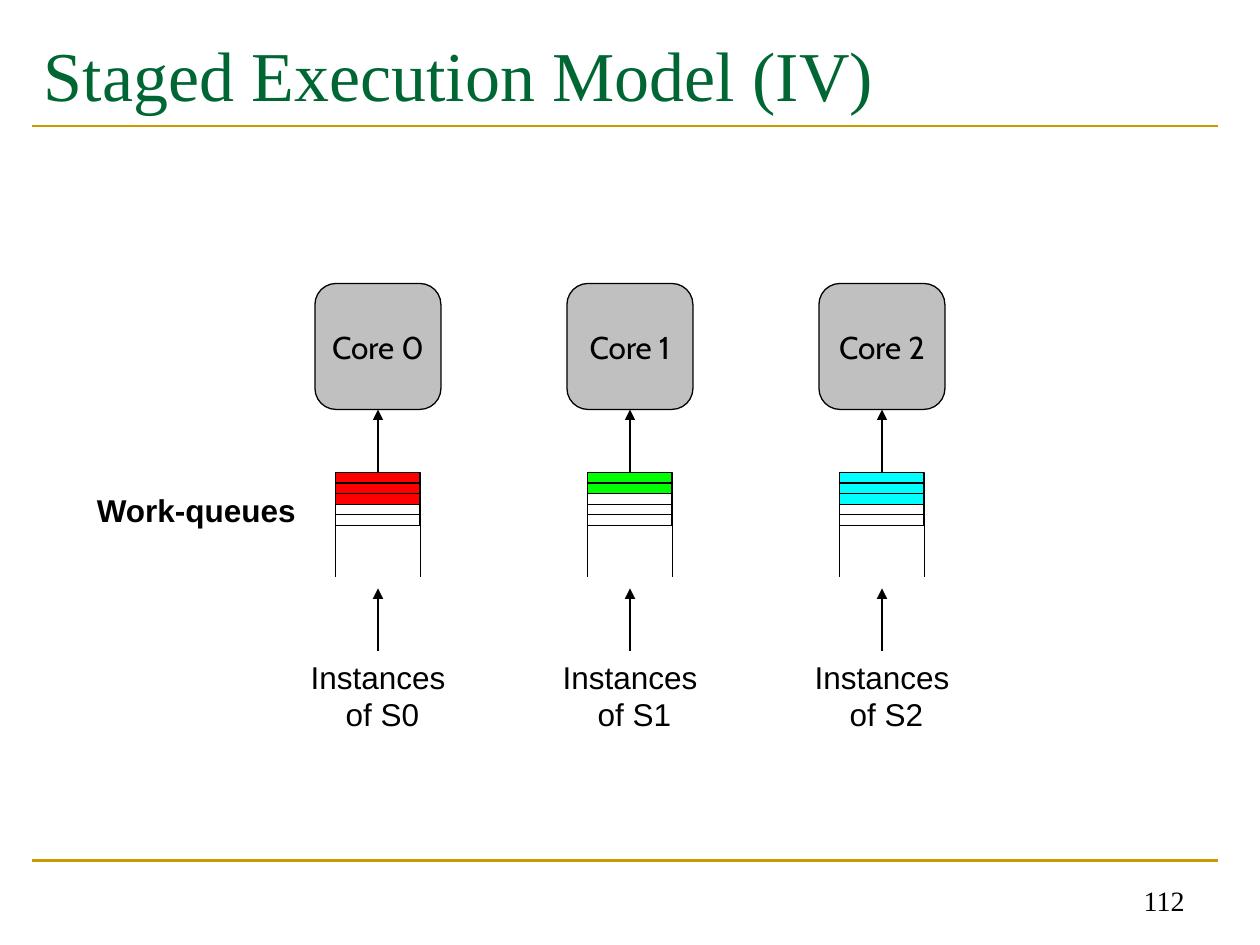
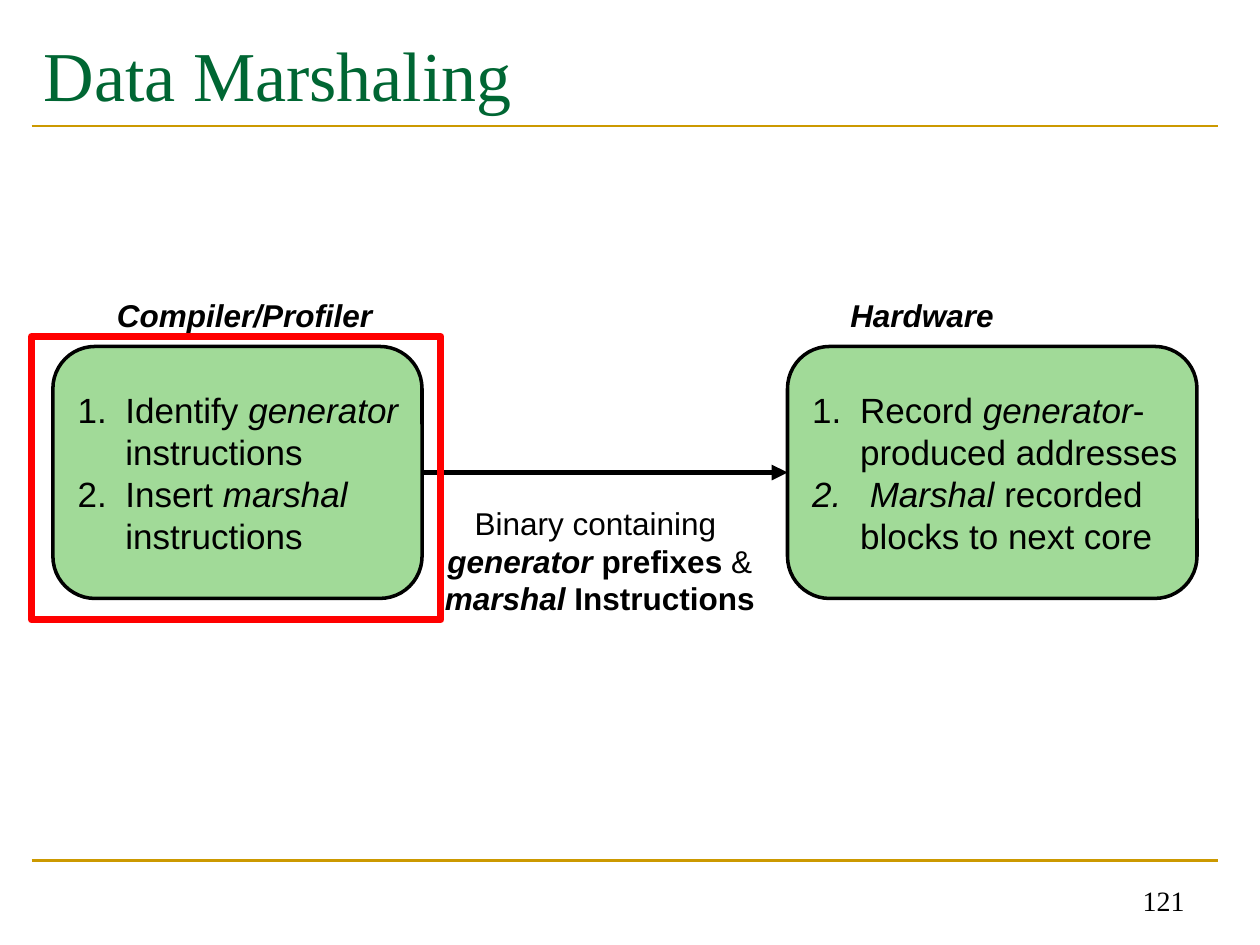
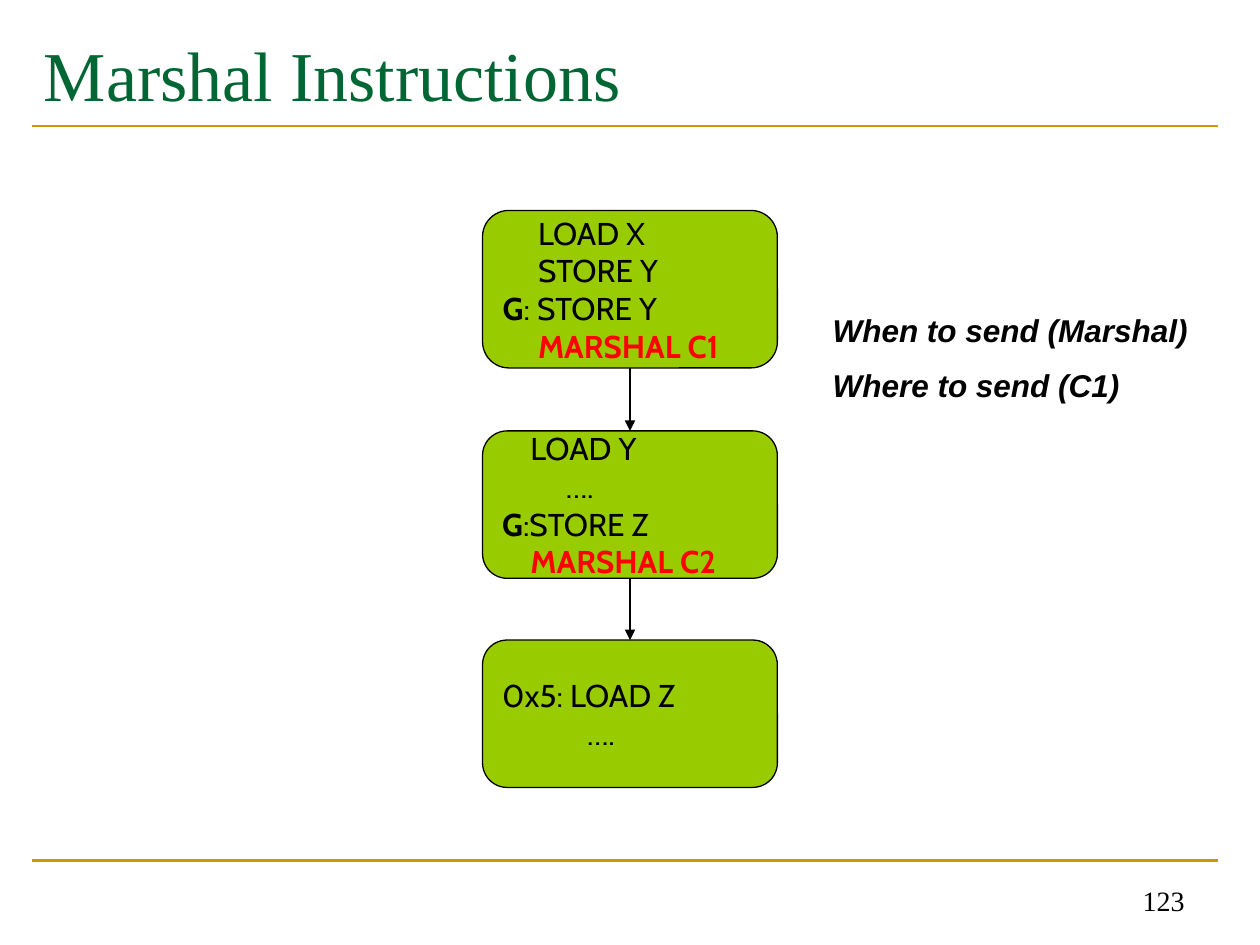
import dataclasses

import pptx
import pptx.dml.color
import pptx.enum.shapes
import pptx.enum.text
import pptx.oxml.ns
import pptx.util
from lxml import etree

Inches = pptx.util.Inches
Align = pptx.enum.text.PP_ALIGN
Anchor = pptx.enum.text.MSO_ANCHOR
Shape = pptx.enum.shapes.MSO_SHAPE


@dataclasses.dataclass(frozen=True)
class Theme:
    title_font: str = "Times New Roman"
    body_font: str = "Arial"
    code_font: str = "Cabin"
    title_size: int = 40
    list_size: int = 20
    body_size: int = 18
    page_number_size: int = 16
    thin: float = 0.75
    ink: str = "000000"
    title: str = "006633"
    rule: str = "CC9900"
    core: str = "C0C0C0"
    step: str = "A1DA98"
    code: str = "99CC00"
    accent: str = "FF0000"
    queues: tuple = ("FF0000", "00FF00", "00FFFF")


theme = Theme()


def add_box(page, left, top, width, height, paragraphs=(), *, kind=None,
            fill=None, line=theme.ink, weight=theme.thin, font=theme.body_font,
            size=theme.body_size, color=theme.ink, style="", align=Align.LEFT,
            anchor=Anchor.TOP, space_before=0, numbers=None):
    """Add a text box, or a shape when kind is given.

    Each paragraph is a list of spans: a string, or (text, style[, color]),
    where style holds "b" for bold and "i" for italic. numbers gives the list
    number of each paragraph, or None for an indented line without one.
    """
    place = [Inches(length) for length in (left, top, width, height)]
    if kind is None:
        box = page.shapes.add_textbox(*place)
    else:
        box = page.shapes.add_shape(kind, *place)
        box.shadow.inherit = False
        if kind == Shape.ROUNDED_RECTANGLE:
            box.adjustments[0] = 0.167
        if fill:
            box.fill.solid()
            box.fill.fore_color.rgb = pptx.dml.color.RGBColor.from_string(fill)
        else:
            box.fill.background()
        box.line.color.rgb = pptx.dml.color.RGBColor.from_string(line)
        box.line.width = pptx.util.Pt(weight)

    frame = box.text_frame
    frame.word_wrap = kind is None
    frame.vertical_anchor = anchor
    for index, spans in enumerate(paragraphs):
        para = frame.add_paragraph() if index else frame.paragraphs[0]
        para.alignment = align
        if index and space_before:
            para.space_before = pptx.util.Pt(space_before)
        if numbers:
            number = numbers[index]
            properties = para._p.get_or_add_pPr()
            properties.set("marL", str(Inches(0.38)))
            properties.set("indent", str(Inches(-0.38 if number else 0)))
            if number:
                etree.SubElement(properties, pptx.oxml.ns.qn("a:buAutoNum"),
                                 type="arabicPeriod", startAt=str(number))
        for span in spans:
            text, marks, *tint = (span, style) if isinstance(span, str) else span
            for row, piece in enumerate(text.split("\n")):
                if row:
                    para.add_line_break()
                if not piece:
                    continue
                run = para.add_run()
                run.text = piece
                run.font.name = font
                run.font.size = pptx.util.Pt(size)
                run.font.bold = "b" in marks
                run.font.italic = "i" in marks
                run.font.color.rgb = pptx.dml.color.RGBColor.from_string(
                    tint[0] if tint else color)
    return box


def add_line(page, start, end, *, color=theme.ink, weight=theme.thin,
             arrow=False, begin=None, finish=None):
    """Add a line; begin and finish are (shape, side) pairs to join it to."""
    line = page.shapes.add_connector(
        pptx.enum.shapes.MSO_CONNECTOR.STRAIGHT,
        *[Inches(length) for length in (*start, *end)])
    line.line.color.rgb = pptx.dml.color.RGBColor.from_string(color)
    line.line.width = pptx.util.Pt(weight)
    if arrow:
        etree.SubElement(line.line._get_or_add_ln(),
                         pptx.oxml.ns.qn("a:tailEnd"), type="triangle")
    etree.SubElement(line._element.spPr, pptx.oxml.ns.qn("a:effectLst"))
    if begin:
        line.begin_connect(*begin)
    if finish:
        line.end_connect(*finish)


deck = pptx.Presentation()
deck.slide_width = Inches(10)
deck.slide_height = Inches(7.5)

# Shared title, rules and page number
pages = []
for title, page_number in (("Staged Execution Model (IV)", "112"),
                           ("Data Marshaling", "121"),
                           ("Marshal Instructions", "123")):
    page = deck.slides.add_slide(deck.slide_layouts[6])
    for y in (6.83, 1):
        add_line(page, (0.25, y), (9.67, y), color=theme.rule, weight=1.5)
    add_box(page, 0.25, 0.17, 9.42, 0.83, [[title]], font=theme.title_font,
            size=theme.title_size, color=theme.title, anchor=Anchor.MIDDLE)
    add_box(page, 7.17, 6.83, 2.33, 0.5, [[page_number]], font=theme.title_font,
            size=theme.page_number_size, align=Align.RIGHT, anchor=Anchor.BOTTOM)
    pages.append(page)
staged_page, marshaling_page, instructions_page = pages

# Staged execution: one core and one work-queue per stage
queue_top, queue_width, cell_count = 3.75, 0.67, 5
cell_height = 0.42 / cell_count
for stage, (filled_cells, queue_color) in enumerate(zip((3, 2, 3), theme.queues)):
    center = 3 + 2 * stage
    core = add_box(staged_page, center - 0.5, 2.25, 1, 1, [[f"Core {stage}"]],
                   kind=Shape.ROUNDED_RECTANGLE, fill=theme.core,
                   font=theme.code_font, align=Align.CENTER, anchor=Anchor.MIDDLE)
    queue_left = center - queue_width / 2
    cells = [add_box(staged_page, queue_left, queue_top + cell * cell_height,
                     queue_width, cell_height, kind=Shape.RECTANGLE,
                     fill=queue_color if cell < filled_cells else None)
             for cell in range(cell_count)]
    for x in (queue_left, queue_left + queue_width):
        add_line(staged_page, (x, queue_top), (x, 4.58))
    instances = add_box(staged_page, center - 0.67, 5.17, 1.34, 0.7,
                        [[f"Instances\n of S{stage}"]], align=Align.CENTER)
    add_line(staged_page, (center, 5.17), (center, 4.67), arrow=True,
             begin=(instances, 0))
    add_line(staged_page, (center, queue_top), (center, 3.25), arrow=True,
             begin=(cells[0], 0), finish=(core, 2))
add_box(staged_page, 0.67, 3.85, 1.92, 0.4, [["Work-queues"]], style="b")

# Data marshaling: compiler on the left, hardware on the right
step_format = dict(kind=Shape.ROUNDED_RECTANGLE, fill=theme.step, weight=2,
                   size=theme.list_size, anchor=Anchor.MIDDLE)
compiler = add_box(
    marshaling_page, 0.42, 2.75, 2.93, 2,
    [["Identify ", ("generator\n", "i"), "instructions"],
     ["Insert ", ("marshal\n", "i"), "instructions"]],
    numbers=(1, 2), **step_format)
hardware = add_box(
    marshaling_page, 6.25, 2.75, 3.25, 2,
    [["Record ", ("generator", "i"), "-"], ["produced addresses"],
     [(" Marshal ", "i"), "recorded"], ["blocks to next core"]],
    numbers=(1, None, 2, None), **step_format)
add_line(marshaling_page, (3.35, 3.75), (6.25, 3.75), weight=3, arrow=True,
         begin=(compiler, 3), finish=(hardware, 1))
add_box(marshaling_page, 3.35, 3.95, 2.82, 1,
        [["Binary containing \n", ("generator ", "bi"), ("prefixes", "b"), " & ",
          ("marshal", "bi"), (" Instructions", "b")]], align=Align.CENTER)
for heading, left, width in (("Compiler/Profiler", 0.83, 2.27),
                             ("Hardware", 6.65, 1.9)):
    add_box(marshaling_page, left, 2.3, width, 0.4, [[heading]], style="bi")
add_box(marshaling_page, 0.25, 2.67, 3.25, 2.25, kind=Shape.RECTANGLE,
        line=theme.accent, weight=4)

# Marshal instructions: a chain of code segments
segments = (
    (1.67, 1.25, [["     LOAD X"], ["     STORE Y"], [("G", "b"), ": STORE Y"],
                  ["     ", ("MARSHAL C1", "b", theme.accent)]]),
    (3.42, 1.17, [["    LOAD Y"], ["         …."], [("G", "b"), ":STORE Z"],
                  ["    ", ("MARSHAL C2", "b", theme.accent)]]),
    (5.08, 1.17, [["0x5: LOAD Z"], ["            …."]]),
)
previous = None
for top, height, code_lines in segments:
    segment = add_box(instructions_page, 3.83, top, 2.34, height, code_lines,
                      kind=Shape.ROUNDED_RECTANGLE, fill=theme.code,
                      font=theme.code_font, anchor=Anchor.MIDDLE)
    if previous:
        add_line(instructions_page, (5, top - 0.5), (5, top), arrow=True,
                 begin=(previous, 2), finish=(segment, 0))
    previous = segment
add_box(instructions_page, 6.51, 2.42, 3.26, 0.86,
        [["When to send (Marshal)"], ["Where to send (C1)"]],
        style="bi", space_before=10)

deck.save("out.pptx")
